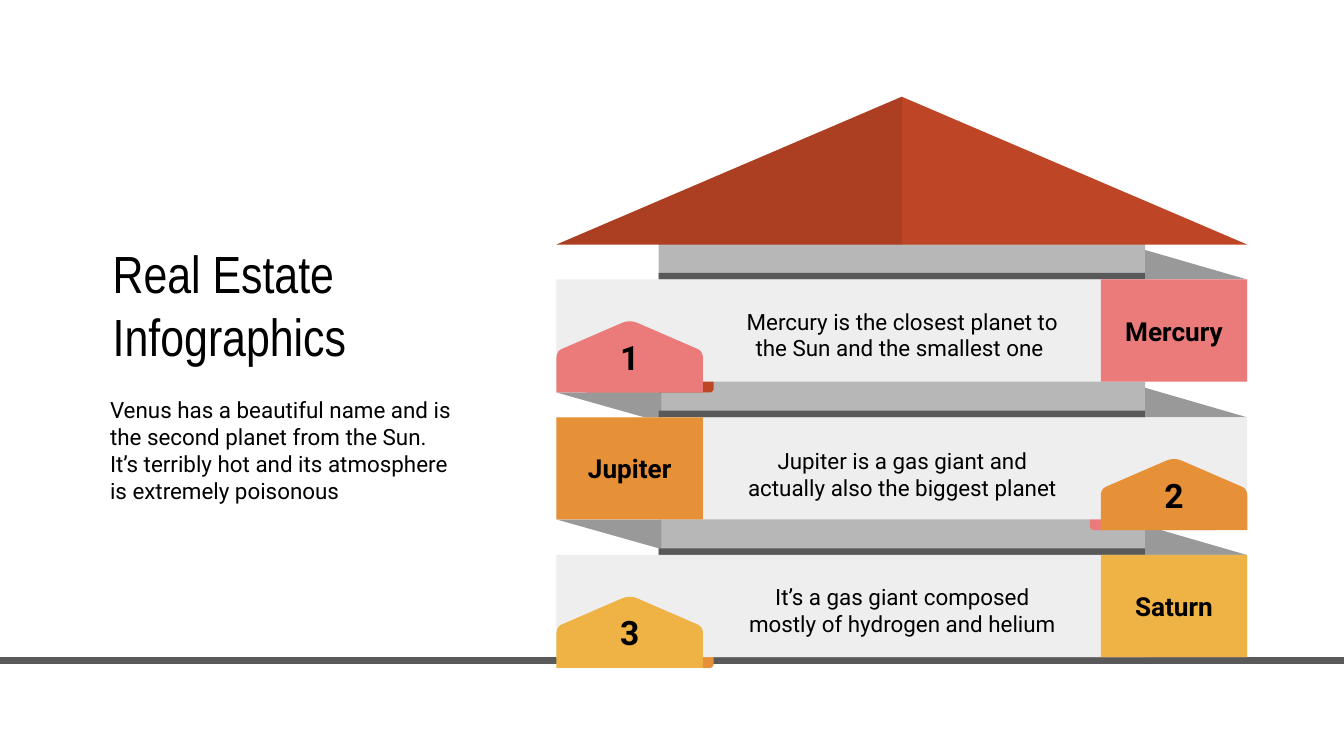
import lxml.etree
import pptx
import pptx.dml.color
import pptx.enum.shapes
import pptx.enum.text
import pptx.oxml.ns
import pptx.util

RGBColor = pptx.dml.color.RGBColor
Inches = pptx.util.Inches
ALIGN = pptx.enum.text.PP_ALIGN
ANCHOR = pptx.enum.text.MSO_ANCHOR
SHAPE = pptx.enum.shapes.MSO_SHAPE

BLACK = RGBColor(0, 0, 0)
CHARCOAL = RGBColor(0x59, 0x59, 0x59)
WALL = RGBColor(0xB7, 0xB7, 0xB7)
SHADE = RGBColor(0x99, 0x99, 0x99)
PANEL = RGBColor(0xEE, 0xEE, 0xEE)
BRICK = RGBColor(0xBE, 0x46, 0x26)
PINK = RGBColor(0xEB, 0x7B, 0x7B)
ORANGE = RGBColor(0xE6, 0x91, 0x38)
YELLOW = RGBColor(0xEE, 0xB2, 0x45)

TITLE = "Real Estate Infographics"
INTRO = ("Venus has a beautiful name and is the second planet from the Sun. "
         "It’s terribly hot and its atmosphere is extremely poisonous")
FLOORS = [
    {"name": "Mercury", "color": PINK, "tab": BRICK, "badge": "left", "note_top": 2.19,
     "note": "Mercury is the closest planet to the Sun and the smallest one "},
    {"name": "Jupiter", "color": ORANGE, "tab": PINK, "badge": "right", "note_top": 3.23,
     "note": "Jupiter is a gas giant and actually also the biggest planet "},
    {"name": "Saturn", "color": YELLOW, "tab": ORANGE, "badge": "left", "note_top": 4.24,
     "note": "It’s a gas giant composed mostly of hydrogen and helium"},
]

SLIDE_WIDTH = 10
SLIDE_HEIGHT = SLIDE_WIDTH * 9 / 16
LEFT, RIGHT = 4.14, 9.28
CENTER = (LEFT + RIGHT) / 2
WALL_LEFT, WALL_RIGHT = 4.9, 8.52
ROOF_TOP, ROOF_BOTTOM = 0.72, 1.82
WALL_TOP, GROUND = 1.55, 4.89
FLOOR_HEIGHT = 0.76
FIRST_FLOOR = 2.08
FLOOR_PITCH = (GROUND - FLOOR_HEIGHT - FIRST_FLOOR) / (len(FLOORS) - 1)
SIDE_WIDTH = 1.09
BADGE_HEIGHT, BADGE_DROP = 0.54, 0.08
TAB_WIDTH, TAB_HEIGHT, TAB_OVERHANG = 0.96, 0.18, 0.08
STRIP, SHADE_HEIGHT = 0.05, 0.22
BADGE_CORNERS = [
    ((0.45, 0.04), (0.5, 0), (0.55, 0.04)),
    ((0.95, 0.39), (1, 0.42), (1, 0.53)),
    ((1, 1),),
    ((0, 1),),
    ((0, 0.53), (0, 0.42), (0.05, 0.39)),
]

deck = pptx.Presentation()
deck.slide_width, deck.slide_height = Inches(SLIDE_WIDTH), Inches(SLIDE_HEIGHT)
page = deck.slides.add_slide(deck.slide_layouts[6])


def paint(shape, color):
    shape.shadow.inherit = False
    shape.fill.solid()
    shape.fill.fore_color.rgb = color
    shape.line.fill.background()
    return shape


def block(left, top, width, height, color, kind=SHAPE.RECTANGLE):
    area = [Inches(length) for length in (left, top, width, height)]
    return paint(page.shapes.add_shape(kind, *area), color)


def outline(points, color):
    corners = [(Inches(x), Inches(y)) for x, y in points]
    builder = page.shapes.build_freeform(*corners[0])
    builder.add_line_segments(corners[1:], close=True)
    return paint(builder.convert_to_shape(), color)


def write(shape, text, size=12, font="Roboto", bold=False,
          align=ALIGN.CENTER, anchor=ANCHOR.MIDDLE):
    frame = shape.text_frame
    frame.word_wrap = True
    frame.vertical_anchor = anchor
    frame.margin_left = frame.margin_right = Inches(0.1)
    frame.margin_top = frame.margin_bottom = Inches(0.1)
    para = frame.paragraphs[0]
    para.alignment = align
    span = para.add_run()
    span.text = text
    span.font.size = pptx.util.Pt(size)
    span.font.name = font
    span.font.bold = bold
    span.font.color.rgb = BLACK


def text_box(left, top, width, height, text, **style):
    area = [Inches(length) for length in (left, top, width, height)]
    write(page.shapes.add_textbox(*area), text, **style)


def badge_points(left, top, steps=6):
    for corner in BADGE_CORNERS:
        if len(corner) == 1:
            curve = corner
        else:
            curve = [
                tuple((1 - t) ** 2 * a + 2 * t * (1 - t) * b + t ** 2 * c
                      for a, b, c in zip(*corner))
                for t in (step / steps for step in range(steps + 1))
            ]
        for x, y in curve:
            yield left + x * SIDE_WIDTH, top + y * BADGE_HEIGHT


def draw_shades(top, has_left_shade, shade_top):
    block(WALL_LEFT, top - STRIP, WALL_RIGHT - WALL_LEFT, STRIP, CHARCOAL)
    outline([(WALL_RIGHT, top - SHADE_HEIGHT), (WALL_RIGHT, top), (RIGHT, top)], SHADE)
    if has_left_shade:
        inner = WALL_LEFT + 0.02
        outline([(LEFT, shade_top), (inner, shade_top + SHADE_HEIGHT), (inner, shade_top)], SHADE)


def draw_floor(number, floor, top):
    on_left = floor["badge"] == "left"
    bottom = top + FLOOR_HEIGHT + BADGE_DROP
    far_side = RIGHT - SIDE_WIDTH
    badge_left, tag_left = (LEFT, far_side) if on_left else (far_side, LEFT)
    tab_left = (LEFT + SIDE_WIDTH + TAB_OVERHANG - TAB_WIDTH if on_left
                else far_side - TAB_OVERHANG)
    tab = block(tab_left, bottom - TAB_HEIGHT, TAB_WIDTH, TAB_HEIGHT, floor["tab"],
                SHAPE.ROUNDED_RECTANGLE)
    tab.adjustments[0] = 0.15
    block(LEFT, top, RIGHT - LEFT, FLOOR_HEIGHT, PANEL)
    badge = outline(list(badge_points(badge_left, bottom - BADGE_HEIGHT)), floor["color"])
    write(badge, str(number), size=18, bold=True)
    tag = block(tag_left, top, SIDE_WIDTH, FLOOR_HEIGHT, floor["color"])
    write(tag, floor["name"], size=14, bold=True)
    text_box(5.45, floor["note_top"], 2.53, 0.54, floor["note"], anchor=ANCHOR.TOP)


block(0, GROUND, SLIDE_WIDTH, STRIP, CHARCOAL)
block(WALL_LEFT, WALL_TOP, WALL_RIGHT - WALL_LEFT, GROUND - WALL_TOP, WALL)

peak = (CENTER, ROOF_TOP)
eave = (LEFT, ROOF_BOTTOM)
outline([peak, eave, (RIGHT, ROOF_BOTTOM)], BRICK)
roof_shade = outline([peak, eave, (CENTER, ROOF_BOTTOM)], BLACK)
tone = roof_shade.fill._xPr.find(".//" + pptx.oxml.ns.qn("a:srgbClr"))
lxml.etree.SubElement(tone, pptx.oxml.ns.qn("a:alpha"), val="9000")

tops = [FIRST_FLOOR + row * FLOOR_PITCH for row in range(len(FLOORS))]
for floor, top in zip(FLOORS, tops):
    drop = BADGE_DROP if floor["badge"] == "left" else 0
    draw_shades(top, floor is not FLOORS[-1], top + FLOOR_HEIGHT + drop)
for number, (floor, top) in enumerate(zip(FLOORS, tops), 1):
    draw_floor(number, floor, top)

text_box(0.74, 1.8, 2.72, 0.93, TITLE, size=28, font="Arial Narrow", align=ALIGN.LEFT)
text_box(0.72, 2.85, 2.75, 0.98, INTRO, align=ALIGN.LEFT, anchor=ANCHOR.TOP)

deck.save("out.pptx")
